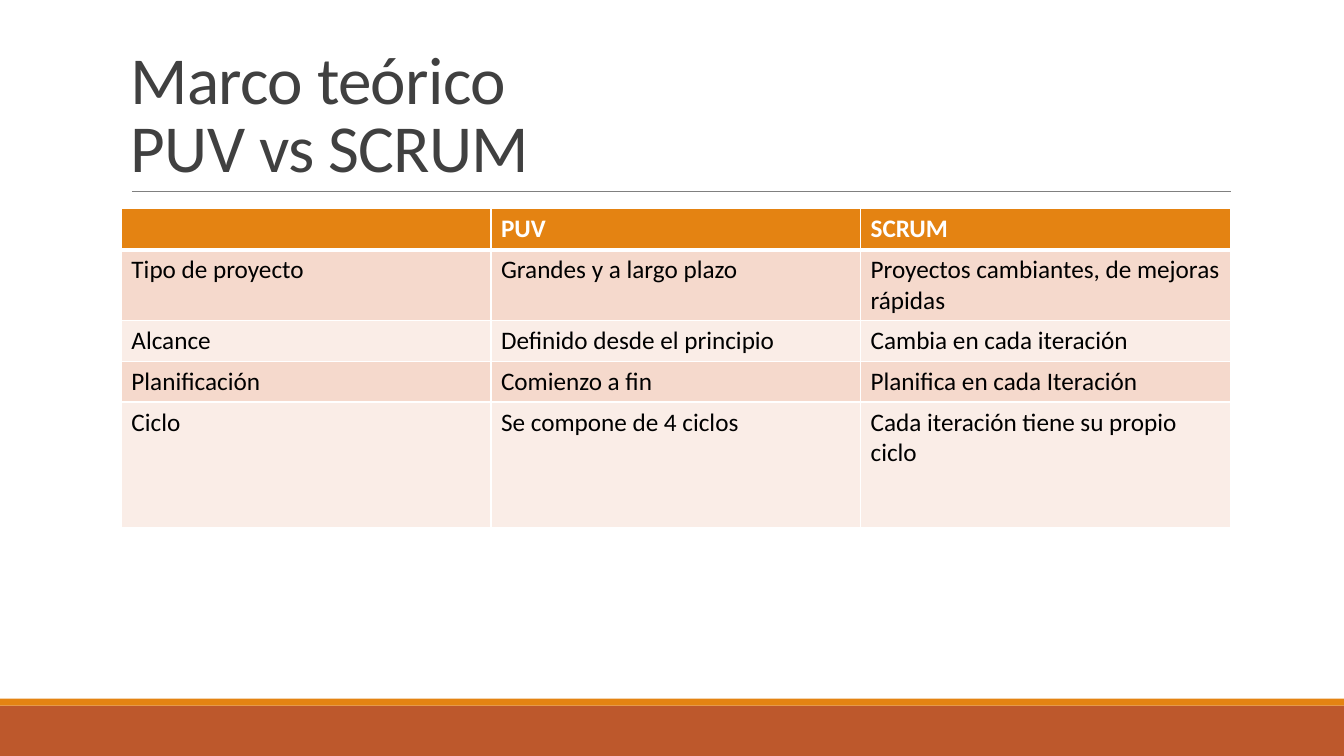
"""Build the slide that compares PUV and SCRUM in a table."""
from lxml import etree
from pptx import Presentation
from pptx.dml.color import RGBColor
from pptx.enum.shapes import MSO_CONNECTOR, MSO_SHAPE
from pptx.enum.text import MSO_ANCHOR
from pptx.oxml.ns import qn
from pptx.util import Pt

RECT = MSO_SHAPE.RECTANGLE
STRAIGHT = MSO_CONNECTOR.STRAIGHT
BOTTOM = MSO_ANCHOR.BOTTOM
ORANGE, RUST, WHITE = "E48312", "BD582C", "FFFFFF"
BANDS = ["F5D9CC", "FAEDE7"]
ROWS = [
    ("", "PUV", "SCRUM"),
    ("Tipo de proyecto", "Grandes y a largo plazo", "Proyectos cambiantes, de mejoras rápidas"),
    ("Alcance", "Definido desde el principio", "Cambia en cada iteración"),
    ("Planificación", "Comienzo a fin", "Planifica en cada Iteración"),
    ("Ciclo", "Se compone de 4 ciclos", "Cada iteración tiene su propio ciclo"),
]
HEIGHTS = [29.2, 29.2, 29.2, 29.2, 90]


def rgb(color):
    return RGBColor.from_string(color)


def write(tf, text, size=18, color="000000", bold=False, line=1.0, spacing=0):
    p = tf.paragraphs[0]
    p.text = text
    p.line_spacing = line
    for r in p.runs:
        r.font.name = "Calibri"
        r.font.size = Pt(size)
        r.font.bold = bold
        r.font.color.rgb = rgb(color)
        if spacing:
            r.font._element.set("spc", str(round(spacing * 100)))


prs = Presentation()
prs.slide_width, prs.slide_height = Pt(960), Pt(540)
s = prs.slides.add_slide(prs.slide_layouts[6])

for top, height, color in [(504, 36, RUST), (499, 5, ORANGE)]:
    sp = s.shapes.add_shape(RECT, 0, Pt(top), Pt(960), Pt(height))
    sp.shadow.inherit = False
    sp.fill.solid()
    sp.fill.fore_color.rgb = rgb(color)
    sp.line.fill.background()

rule = s.shapes.add_connector(STRAIGHT, Pt(94.3), Pt(136.8), Pt(879.1), Pt(136.8))
rule.line.color.rgb = rgb("808080")
rule.line.width = Pt(0.5)
etree.SubElement(rule._element.spPr, qn("a:effectLst"))

title = s.shapes.add_textbox(Pt(86.4), Pt(22.6), Pt(792), Pt(114.2))
tf = title.text_frame
tf.word_wrap = True
tf.vertical_anchor = BOTTOM
write(tf, "Marco teórico\nPUV vs SCRUM", size=48, color="404040", line=0.85, spacing=-0.5)

table = s.shapes.add_table(len(ROWS), 3, Pt(86.7), Pt(149.2), Pt(792), Pt(sum(HEIGHTS))).table
for col in table.columns:
    col.width = Pt(264)
for i, (texts, height) in enumerate(zip(ROWS, HEIGHTS)):
    table.rows[i].height = Pt(height)
    header = i == 0
    for j, text in enumerate(texts):
        cell = table.cell(i, j)
        tcPr = cell._tc.get_or_add_tcPr()
        for side in "LRTB":
            thick = (header and side == "B") or (i == 1 and side == "T")
            ln = etree.SubElement(tcPr, qn(f"a:ln{side}"), w=str(Pt(3 if thick else 1)))
            fill = etree.SubElement(ln, qn("a:solidFill"))
            etree.SubElement(fill, qn("a:srgbClr"), val=WHITE)
        cell.fill.solid()
        cell.fill.fore_color.rgb = rgb(ORANGE if header else BANDS[(i - 1) % 2])
        write(cell.text_frame, text, color=WHITE if header else "000000", bold=header)

prs.save("out.pptx")
